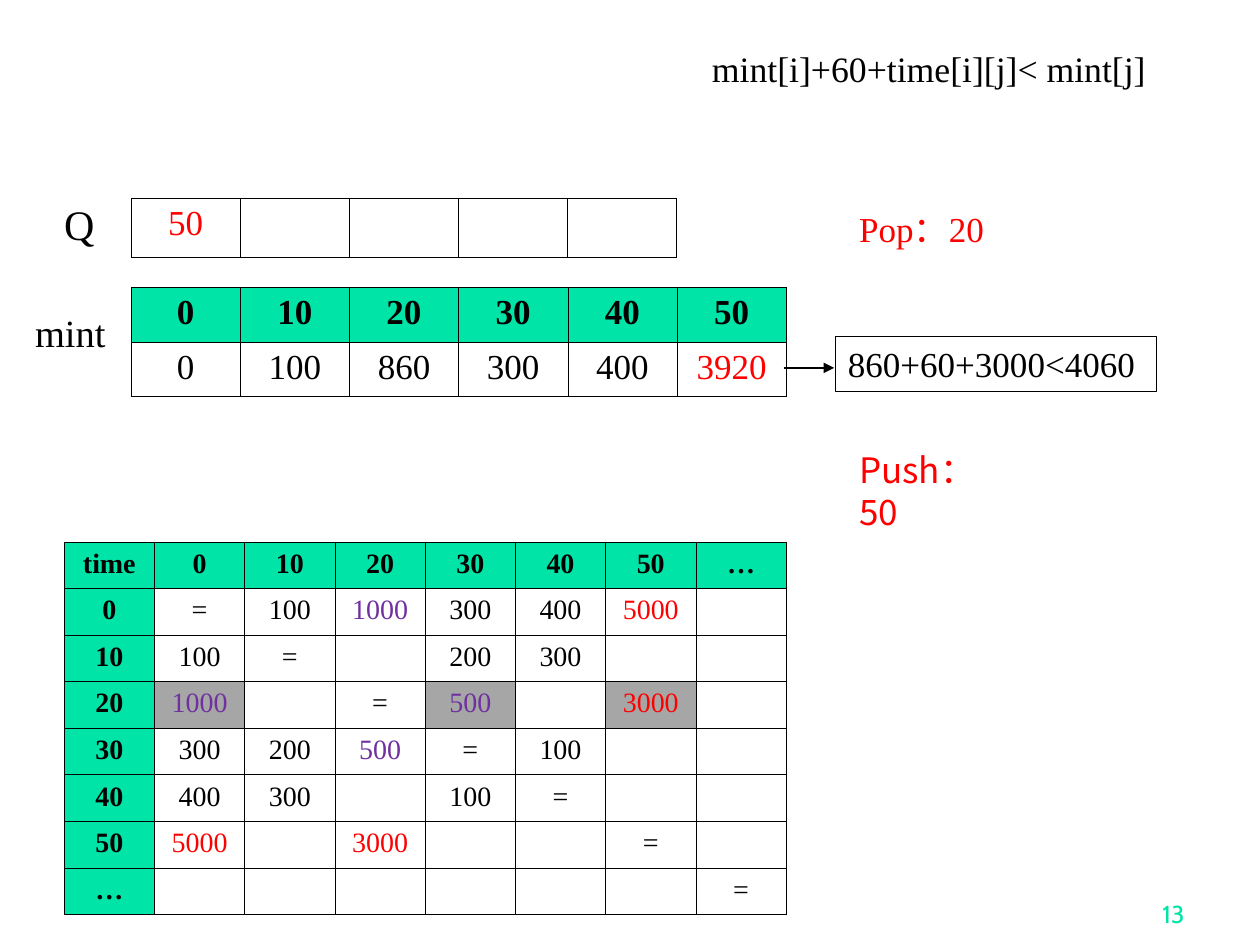
import pptx
import pptx.dml.color
import pptx.enum.shapes
import pptx.enum.text
import pptx.oxml
import pptx.oxml.ns
import pptx.util
from pptx.util import Inches

RGBColor = pptx.dml.color.RGBColor
BLACK = RGBColor(0x00, 0x00, 0x00)
RED = RGBColor(0xFF, 0x00, 0x00)
PURPLE = RGBColor(0x70, 0x30, 0xA0)
GREEN = RGBColor(0x00, 0xE4, 0xA8)
GRAY = RGBColor(0xA6, 0xA6, 0xA6)

SERIF = "Times New Roman"
SANS = "Noto Sans CJK SC"
ALIGN = pptx.enum.text.PP_ALIGN
ANCHOR = pptx.enum.text.MSO_ANCHOR

# Travel times that are being relaxed stand out by colour
VALUE_COLORS = {"1000": PURPLE, "500": PURPLE, "3000": RED, "5000": RED, "3920": RED}

STOPS = ["0", "10", "20", "30", "40", "50"]
MINT_ROWS = [STOPS, ["0", "100", "860", "300", "400", "3920"]]
TIME_ROWS = [
    ["time", *STOPS, "…"],
    ["0", "=", "100", "1000", "300", "400", "5000", ""],
    ["10", "100", "=", "", "200", "300", "", ""],
    ["20", "1000", "", "=", "500", "", "3000", ""],
    ["30", "300", "200", "500", "=", "100", "", ""],
    ["40", "400", "300", "", "100", "=", "", ""],
    ["50", "5000", "", "3000", "", "", "=", ""],
    ["…", "", "", "", "", "", "", "="],
]


def write_text(frame, text, size=20, font=SERIF, color=BLACK, bold=False,
               align=ALIGN.LEFT, line_spacing=None):
    paragraph = frame.paragraphs[0]
    paragraph.alignment = align
    paragraph.line_spacing = line_spacing
    run = paragraph.add_run()
    run.text = text
    run.font.size = pptx.util.Pt(size)
    run.font.name = font
    run.font.bold = bold
    run.font.color.rgb = color


def add_label(slide, text, left, top, width, height, anchor=ANCHOR.TOP, wrap=True, **text_format):
    box = slide.shapes.add_textbox(Inches(left), Inches(top), Inches(width), Inches(height))
    box.text_frame.word_wrap = wrap
    box.text_frame.vertical_anchor = anchor
    write_text(box.text_frame, text, **text_format)
    return box


def set_borders(cell):
    properties = cell._tc.get_or_add_tcPr()
    for position, side in enumerate(("lnL", "lnR", "lnT", "lnB")):
        border = pptx.oxml.parse_xml(
            f'<a:{side} {pptx.oxml.ns.nsdecls("a")} w="4318"><a:solidFill>'
            f'<a:srgbClr val="{BLACK}"/></a:solidFill></a:{side}>')
        properties.insert(position, border)


def set_empty_size(cell, size):
    """Keep an empty cell from stretching its row."""
    cell.text_frame.paragraphs[0]._p.append(pptx.oxml.parse_xml(
        f'<a:endParaRPr {pptx.oxml.ns.nsdecls("a")} sz="{size * 100}">'
        f'<a:latin typeface="{SERIF}"/></a:endParaRPr>'))


def add_grid(slide, rows, left, top, width, row_height, size=20, color=BLACK,
             header_row=True, header_column=False, gray_row=None):
    column_count = len(rows[0])
    table = slide.shapes.add_table(
        len(rows), column_count, Inches(left), Inches(top),
        Inches(width), Inches(row_height * len(rows))).table
    table.first_row = table.horz_banding = False
    for column in table.columns:
        column.width = Inches(width / column_count)
    for row_index, values in enumerate(rows):
        for column_index, value in enumerate(values):
            cell = table.cell(row_index, column_index)
            is_header = (header_row and row_index == 0) or (header_column and column_index == 0)
            is_gray = row_index == gray_row and value not in ("", "=")
            if is_header or is_gray:
                cell.fill.solid()
                cell.fill.fore_color.rgb = GREEN if is_header else GRAY
            else:
                cell.fill.background()
            set_borders(cell)
            if value:
                value_color = BLACK if is_header else VALUE_COLORS.get(value, color)
                write_text(cell.text_frame, value, size=size, color=value_color,
                           bold=is_header, align=ALIGN.CENTER)
            else:
                set_empty_size(cell, size)


def set_title(slide, text):
    title = slide.shapes.title
    title.left, title.top = Inches(0.2), Inches(0.17)
    title.width, title.height = Inches(9.58), Inches(0.58)
    frame = title.text_frame
    frame.auto_size = pptx.enum.text.MSO_AUTO_SIZE.NONE
    frame.vertical_anchor = ANCHOR.TOP
    frame.margin_left, frame.margin_top = Inches(5.45), Inches(0.2)
    frame.margin_right = frame.margin_bottom = 0
    write_text(frame, text, size=20.4)


def add_arrow(slide, start, end):
    arrow = slide.shapes.add_connector(
        pptx.enum.shapes.MSO_CONNECTOR.STRAIGHT, *map(Inches, start + end))
    arrow.line.color.rgb = BLACK
    arrow.line.width = pptx.util.Pt(0.75)
    namespace = pptx.oxml.ns.nsdecls("a")
    arrow.line._get_or_add_ln().append(
        pptx.oxml.parse_xml(f'<a:tailEnd {namespace} type="triangle"/>'))
    arrow._element.spPr.append(pptx.oxml.parse_xml(f"<a:effectLst {namespace}/>"))


def main():
    presentation = pptx.Presentation()
    presentation.slide_width, presentation.slide_height = Inches(10), Inches(7.5)
    slide = presentation.slides.add_slide(presentation.slide_layouts[5])

    # Relaxation condition and page number
    set_title(slide, "mint[i]+60+time[i][j]< mint[j]")
    add_label(slide, "13", 7.42, 6.92, 2.08, 0.5, anchor=ANCHOR.BOTTOM,
              size=14, font="Cabin", color=GREEN, align=ALIGN.RIGHT)

    # Queue and shortest times
    add_grid(slide, [["50", "", "", "", ""]], 1.04, 1.57, 4.33, 0.47,
             color=RED, header_row=False)
    add_grid(slide, MINT_ROWS, 1.04, 2.28, 5.2, 0.43)
    add_label(slide, "Q", 0.41, 1.53, 0.39, 0.5, wrap=False, size=24)
    add_label(slide, "mint", 0.18, 2.4, 0.87, 0.47, size=22)

    # Travel times between stops
    add_grid(slide, TIME_ROWS, 0.51, 4.3, 5.73, 0.37, size=16,
             header_column=True, gray_row=3)

    # Queue operations
    add_label(slide, "Pop：20", 6.72, 1.6, 1.39, 0.44, color=RED)
    add_label(slide, "Push：50", 6.72, 3.51, 1.39, 0.77, font=SANS, color=RED,
              line_spacing=pptx.util.Pt(24))

    # Comparison for the updated time
    comparison = add_label(slide, "860+60+3000<4060", 6.63, 2.67, 2.55, 0.44)
    comparison.line.color.rgb = BLACK
    comparison.line.width = pptx.util.Pt(0.75)
    add_arrow(slide, (6.22, 2.92), (6.62, 2.92))

    presentation.save("out.pptx")


if __name__ == "__main__":
    main()
